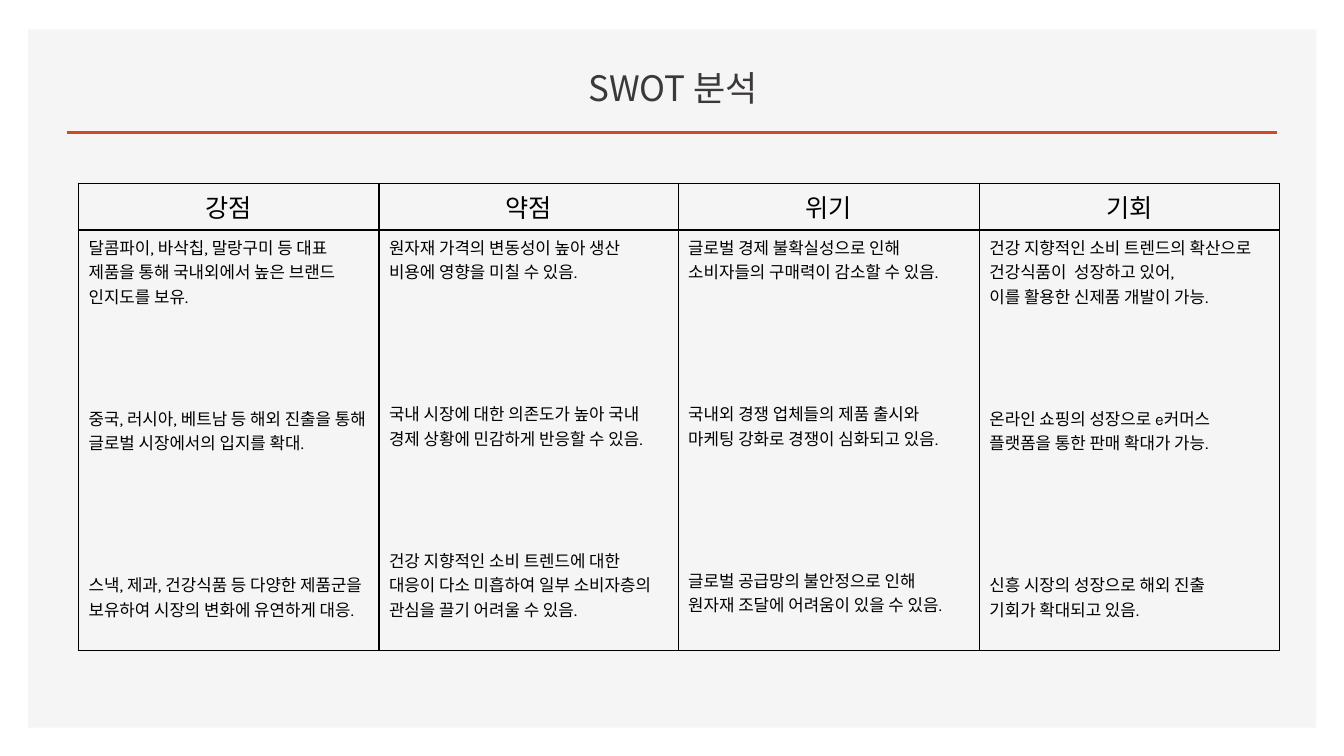
from lxml.etree import SubElement
from pptx import Presentation
from pptx.dml.color import RGBColor
from pptx.enum.shapes import MSO_CONNECTOR, MSO_SHAPE
from pptx.enum.text import MSO_ANCHOR, MSO_AUTO_SIZE, PP_ALIGN
from pptx.oxml.ns import qn
from pptx.util import Cm, Pt

# Content: each point is (space before in pt, paragraphs)
SHORT_GAP, LONG_GAP = 70, 84
SWOT = {
    "강점": [
        (0, ["달콤파이, 바삭칩, 말랑구미 등 대표 제품을 통해 국내외에서 높은 브랜드 인지도를 보유."]),
        (SHORT_GAP, ["중국, 러시아, 베트남 등 해외 진출을 통해 글로벌 시장에서의 입지를 확대."]),
        (LONG_GAP, ["스낵, 제과, 건강식품 등 다양한 제품군을 보유하여 시장의 변화에 유연하게 대응."]),
    ],
    "약점": [
        (0, ["원자재 가격의 변동성이 높아 생산", "비용에 영향을 미칠 수 있음."]),
        (LONG_GAP, ["국내 시장에 대한 의존도가 높아 국내 경제 상황에 민감하게 반응할 수 있음."]),
        (SHORT_GAP, ["건강 지향적인 소비 트렌드에 대한 대응이 다소 미흡하여 일부 소비자층의 "
                     "관심을 끌기 어려울 수 있음."]),
    ],
    "위기": [
        (0, ["글로벌 경제 불확실성으로 인해 소비자들의 구매력이 감소할 수 있음."]),
        (LONG_GAP, ["국내외 경쟁 업체들의 제품 출시와", "마케팅 강화로 경쟁이 심화되고 있음."]),
        (LONG_GAP, ["글로벌 공급망의 불안정으로 인해", "원자재 조달에 어려움이 있을 수 있음."]),
    ],
    "기회": [
        (0, ["건강 지향적인 소비 트렌드의 확산으로 건강식품이  성장하고 있어,",
             "이를 활용한 신제품 개발이 가능."]),
        (SHORT_GAP, ["온라인 쇼핑의 성장으로 e커머스", "플랫폼을 통한 판매 확대가 가능."]),
        (LONG_GAP, ["신흥 시장의 성장으로 해외 진출", "기회가 확대되고 있음."]),
    ],
}
COLUMN_WIDTHS = [7.57, 7.54, 7.59, 7.57]
ROW_HEIGHTS = [1.17, 10.6]

# Style
HANGUL_FONT = "Noto Sans CJK KR"
TITLE_FONT = {"name": HANGUL_FONT, "size": Pt(25), "bold": False}
HEADING_FONT = {"name": "Karla", "size": Pt(18), "bold": False}
BODY_FONT = {"name": "Karla", "size": Pt(12), "bold": False}


def paint(color_format, hex_color):
    color_format.rgb = RGBColor.from_string(hex_color)


def apply(target, values):
    for name, value in values.items():
        setattr(target, name, value)


class SwotSlide:
    panel_color = "F5F5F5"
    accent = "D24726"
    title_color = "3B3838"
    ink = "000000"

    def __init__(self, presentation):
        self.slide = presentation.slides.add_slide(presentation.slide_layouts[5])
        self.shapes = self.slide.shapes

    def panel(self, left, top, width, height):
        panel = self.shapes.add_shape(
            MSO_SHAPE.RECTANGLE, Cm(left), Cm(top), Cm(width), Cm(height))
        panel.shadow.inherit = False
        panel.fill.solid()
        paint(panel.fill.fore_color, self.panel_color)
        panel.line.fill.background()
        # Send behind the title placeholder
        panel.element.getparent().insert(2, panel.element)

    def rule(self, left, right, y):
        rule = self.shapes.add_connector(
            MSO_CONNECTOR.STRAIGHT, Cm(left), Cm(y), Cm(right), Cm(y))
        paint(rule.line.color, self.accent)
        rule.line.width = Pt(2)
        SubElement(rule.element.spPr, qn("a:effectLst"))

    def text(self, paragraph, text, font, color, **layout):
        apply(paragraph, layout)
        run = paragraph.add_run()
        run.text = text
        apply(run.font, font)
        paint(run.font.color, color)
        SubElement(run.font._element, qn("a:ea"), typeface=HANGUL_FONT)

    def title(self, text, left, top, width, height):
        title = self.shapes.title
        apply(title, {"left": Cm(left), "top": Cm(top),
                      "width": Cm(width), "height": Cm(height)})
        apply(title.text_frame, {"vertical_anchor": MSO_ANCHOR.BOTTOM,
                                 "word_wrap": True, "auto_size": MSO_AUTO_SIZE.NONE})
        self.text(title.text_frame.paragraphs[0], text, TITLE_FONT,
                  self.title_color, alignment=PP_ALIGN.CENTER)

    def border(self, cell):
        properties = cell._tc.get_or_add_tcPr()
        for position, side in enumerate(("lnL", "lnR", "lnT", "lnB")):
            edge = SubElement(properties, qn(f"a:{side}"), w=str(Pt(1)))
            fill = SubElement(edge, qn("a:solidFill"))
            SubElement(fill, qn("a:srgbClr"), val=self.ink)
            properties.insert(position, edge)

    def points(self, frame, points):
        paragraph = frame.paragraphs[0]
        for gap, lines in points:
            for number, line in enumerate(lines):
                if paragraph.runs:
                    paragraph = frame.add_paragraph()
                self.text(paragraph, line, BODY_FONT, self.ink,
                          space_before=Pt(0 if number else gap))

    def table(self, content, left, top):
        table = self.shapes.add_table(
            2, len(content), Cm(left), Cm(top),
            Cm(sum(COLUMN_WIDTHS)), Cm(sum(ROW_HEIGHTS))).table
        apply(table, {"first_row": False, "horz_banding": False})
        for column, width in zip(table.columns, COLUMN_WIDTHS):
            column.width = Cm(width)
        for row, height in zip(table.rows, ROW_HEIGHTS):
            row.height = Cm(height)
        for cell in table.iter_cells():
            cell.fill.background()
            self.border(cell)
        for index, (heading, points) in enumerate(content.items()):
            self.text(table.cell(0, index).text_frame.paragraphs[0], heading,
                      HEADING_FONT, self.ink, alignment=PP_ALIGN.CENTER)
            self.points(table.cell(1, index).text_frame, points)


def main():
    presentation = Presentation()
    apply(presentation, {"slide_width": Cm(33.87), "slide_height": Cm(19.05)})
    swot = SwotSlide(presentation)

    # Background and heading
    swot.panel(0.71, 0.74, 32.46, 17.6)
    swot.rule(1.68, 32.18, 3.33)
    swot.title("SWOT 분석", 1.7, 1.07, 30.53, 1.78)

    # Four-column analysis
    swot.table(SWOT, 1.98, 4.62)
    presentation.save("out.pptx")


if __name__ == "__main__":
    main()
